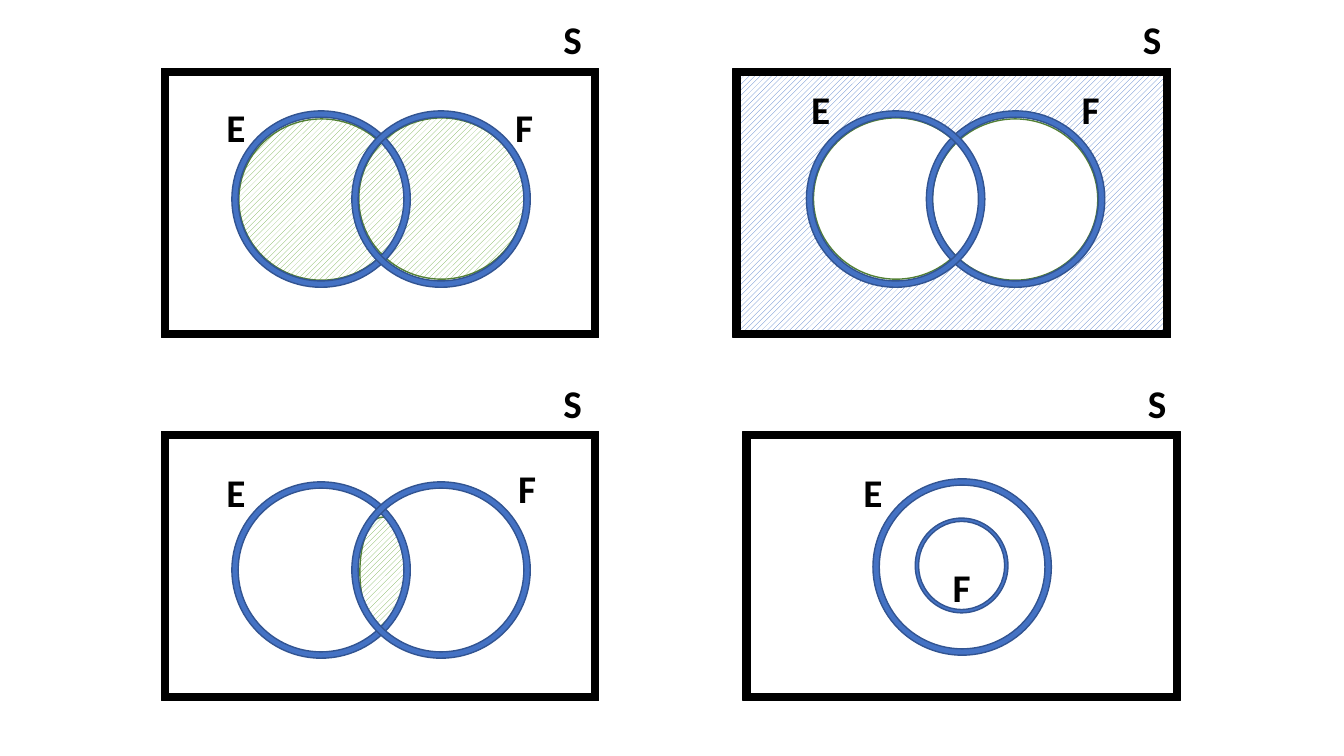
from pptx import Presentation
from pptx.dml.color import RGBColor
from pptx.enum.dml import MSO_PATTERN
from pptx.enum.shapes import MSO_SHAPE
from pptx.enum.text import MSO_AUTO_SIZE, PP_ALIGN
from pptx.util import Inches, Pt

RECTANGLE, ELLIPSE = MSO_SHAPE.RECTANGLE, MSO_SHAPE.OVAL
FRAME, DONUT = MSO_SHAPE.FRAME, MSO_SHAPE.DONUT
HATCH = MSO_PATTERN.WIDE_UPWARD_DIAGONAL
CENTER = PP_ALIGN.CENTER
FIT = MSO_AUTO_SIZE.SHAPE_TO_FIT_TEXT

BLACK = RGBColor(0x00, 0x00, 0x00)
WHITE = RGBColor(0xFF, 0xFF, 0xFF)
BLUE = RGBColor(0x44, 0x72, 0xC4)
DARK_BLUE = RGBColor(0x32, 0x54, 0x91)
GREEN = RGBColor(0x70, 0xAD, 0x47)
DARK_GREEN = RGBColor(0x53, 0x80, 0x35)

COLUMNS, ROWS = 133.33, 75
PANEL = (43.4, 26.7)
RING = (17.7, 17.5)
DISC = (16.4, 16)
LABEL = (5.2, 5.7)
LABEL_FONT = {"name": "Calibri", "size": Pt(28), "bold": True}


class VennSlide:
    def __init__(self, deck):
        self.column = deck.slide_width / COLUMNS
        self.row = deck.slide_height / ROWS
        self.shapes = deck.slides.add_slide(deck.slide_layouts[6]).shapes
        self.origin = (0, 0)

    def place(self, offset, size):
        left, top = (start + step for start, step in zip(self.origin, offset))
        lengths = (left * self.column, top * self.row,
                   size[0] * self.column, size[1] * self.row)
        return [round(length) for length in lengths]

    def outline(self, kind, offset, size, edge):
        shape = self.shapes.add_shape(kind, *self.place(offset, size))
        shape.shadow.inherit = False
        shape.line.color.rgb = edge
        shape.line.width = Pt(1)
        return shape

    def solid(self, kind, offset, size, color, edge, thickness=None):
        shape = self.outline(kind, offset, size, edge)
        shape.fill.solid()
        shape.fill.fore_color.rgb = color
        if thickness is not None:
            shape.adjustments[0] = thickness

    def hatched(self, kind, offset, size, color, edge):
        fill = self.outline(kind, offset, size, edge).fill
        fill.patterned()
        fill.pattern = HATCH
        fill.fore_color.rgb = color
        fill.back_color.rgb = WHITE

    def sample_space(self):
        self.solid(FRAME, (0, 0), PANEL, BLACK, BLACK, 0.026)

    def event(self, offset, size=RING):
        self.solid(DONUT, offset, size, BLUE, DARK_BLUE, 0.036)

    def label(self, letter, offset):
        frame = self.shapes.add_textbox(*self.place(offset, LABEL)).text_frame
        frame.word_wrap = True
        frame.auto_size = FIT
        paragraph = frame.paragraphs[0]
        paragraph.text = letter
        paragraph.alignment = CENTER
        for attribute, value in LABEL_FONT.items():
            setattr(paragraph.font, attribute, value)
        paragraph.font.color.rgb = BLACK

    def panel(self, origin, events, labels, hatches=(), blanks=()):
        self.origin = origin
        for hatch in hatches:
            self.hatched(*hatch)
        self.sample_space()
        for blank in blanks:
            self.solid(ELLIPSE, blank, DISC, WHITE, DARK_GREEN)
        for event in events:
            self.event(*event)
        for letter, offset in labels.items():
            self.label(letter, offset)


UNION = {
    "origin": (16, 6.8),
    "hatches": [(ELLIPSE, (7.7, 5), DISC, GREEN, DARK_GREEN),
                (ELLIPSE, (19.6, 4.9), DISC, GREEN, DARK_GREEN)],
    "events": [((7, 4.2),), ((18.9, 4.2),)],
    "labels": {"E": (4.8, 3), "F": (33.4, 3), "S": (38.2, -5.8)},
}
COMPLEMENT = {
    "origin": (72.7, 6.8),
    "hatches": [(RECTANGLE, (0.2, 0), (43.2, 26.7), BLUE, DARK_BLUE)],
    "blanks": [(8, 4.9), (19.8, 5)],
    "events": [((19.2, 4.2),), ((7.3, 4.2),)],
    "labels": {"E": (6.1, 1.2), "F": (32.9, 1.2), "S": (39, -5.8)},
}
INTERSECTION = {
    "origin": (16, 42.8),
    "hatches": [(ELLIPSE, (19.7, 8.5), (4.5, 10.9), GREEN, DARK_GREEN)],
    "events": [((7, 5),), ((18.9, 5),)],
    "labels": {"E": (4.8, 3.2), "F": (33.7, 2.8), "S": (38.2, -5.7)},
}
SUBSET = {
    "origin": (73.7, 42.8),
    "events": [((12.9, 4.7),), ((17.1, 8.6), (9.2, 9.4))],
    "labels": {"E": (10.3, 3.2), "F": (19.1, 12.6), "S": (38.5, -5.7)},
}


def main():
    deck = Presentation()
    deck.slide_width, deck.slide_height = Inches(13.33), Inches(7.5)
    venn = VennSlide(deck)
    for diagram in (UNION, COMPLEMENT, INTERSECTION, SUBSET):
        venn.panel(**diagram)
    deck.save("out.pptx")


if __name__ == "__main__":
    main()
